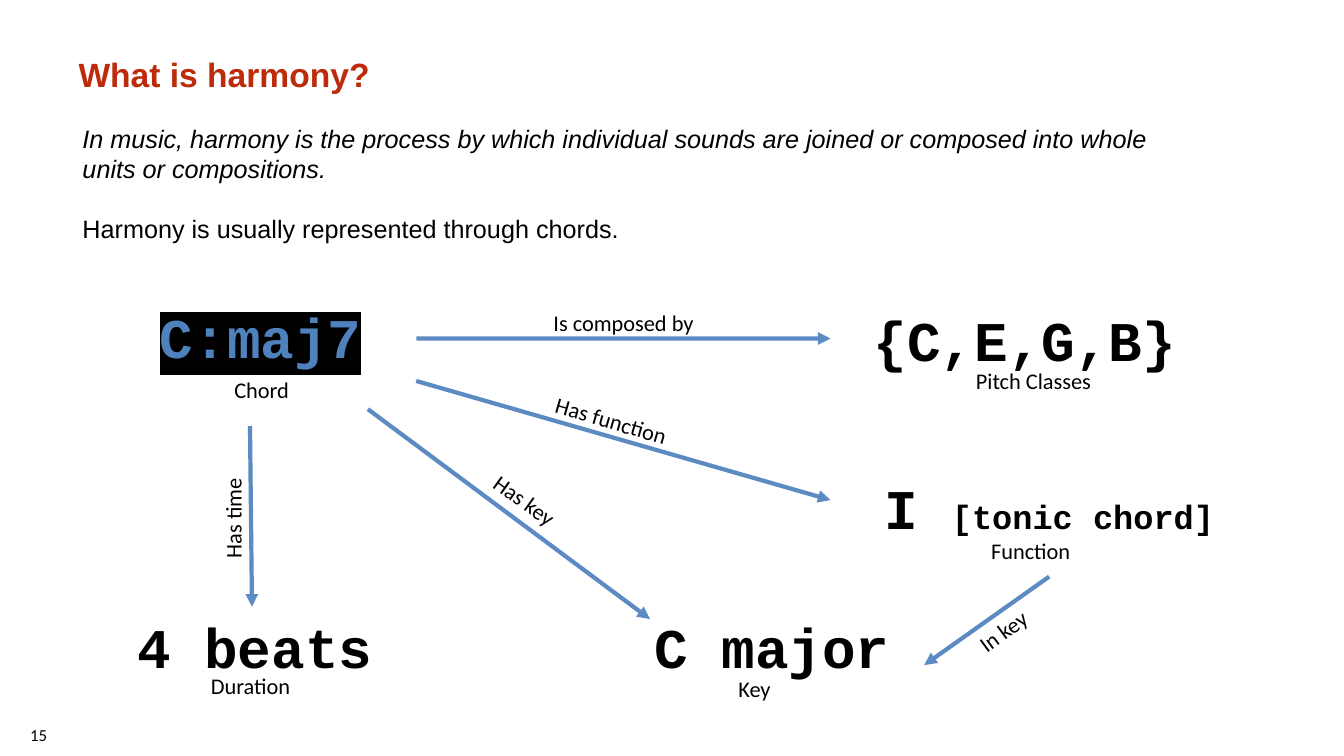
"""Slide explaining harmony through the properties of a chord."""
from lxml.etree import SubElement
from pptx import Presentation
from pptx.dml.color import RGBColor
from pptx.enum.shapes import MSO_CONNECTOR as Connector
from pptx.enum.text import MSO_ANCHOR as Anchor, PP_ALIGN as Align
from pptx.oxml import parse_xml
from pptx.oxml.ns import nsdecls, qn
from pptx.util import Cm, Pt

BLACK = RGBColor(0x00, 0x00, 0x00)
RED = RGBColor(0xBD, 0x2B, 0x0B)
CHORD_BLUE = RGBColor(0x4F, 0x81, 0xBD)
ARROW_BLUE = RGBColor(0x4B, 0x7E, 0xBC)

LABEL_WIDTH, SHORT_LABEL_WIDTH = 4.55, 2.95
TERM_WIDTH, TERM_HEIGHT = 9.45, 1.5

CAPTIONS = [
    ("Chord", 4.32, 9.3),
    ("Pitch Classes", 23.77, 9.09),
    ("Duration", 4.04, 16.76),
    ("Function", 23.7, 13.36),
    ("Key", 16.74, 16.84),
]
RELATIONS = [
    ("Is composed by", 13.44, 7.62, LABEL_WIDTH, 0, (10.49, 8.53, 20.93, 8.53)),
    ("Has function", 13.13, 10.08, LABEL_WIDTH, 16.2, (10.49, 9.6, 20.93, 12.6)),
    ("Has time", 4.39, 12.55, SHORT_LABEL_WIDTH, 270, (6.3, 10.74, 6.35, 15.29)),
    ("In key", 23.8, 15.39, SHORT_LABEL_WIDTH, 323.8, (26.44, 14.53, 23.29, 16.76)),
    ("Has key", 10.95, 12.09, LABEL_WIDTH, 35.6, (9.27, 10.31, 16.38, 15.6)),
]


def add_text_frame(slide, left, top, width, height, anchor=Anchor.MIDDLE, rotation=0):
    """Add a wrapping text box and return its frame."""
    box = slide.shapes.add_textbox(Cm(left), Cm(top), Cm(width), Cm(height))
    box.rotation = rotation
    frame = box.text_frame
    frame.word_wrap = True
    frame.vertical_anchor = anchor
    return frame


def style(paragraph, name, size, color=BLACK, bold=False, italic=False, align=Align.LEFT):
    """Set the alignment and font of a paragraph."""
    paragraph.alignment = align
    font = paragraph.font
    font.name, font.size, font.bold, font.italic = name, Pt(size), bold, italic
    font.color.rgb = color


def add_title(slide, text):
    """Add the slide title."""
    title = add_text_frame(slide, 1.73, 1.47, 31.19, 1.8, Anchor.TOP).paragraphs[0]
    title.text = text
    title.line_spacing = Pt(22)
    style(title, "Arial", 24, RED, bold=True)


def add_definition(slide, definition, remark):
    """Add the italic definition and the remark below it."""
    frame = add_text_frame(slide, 1.83, 2.62, 28.5, 3.99)
    frame.text = definition
    style(frame.paragraphs[0], "Arial", 18, italic=True)
    second = frame.add_paragraph()
    second.text = remark
    second.space_before = Pt(21)
    style(second, "Arial", 18)


def add_label(slide, text, left, top, width=LABEL_WIDTH, rotation=0):
    """Add a small centred label."""
    label = add_text_frame(slide, left, top, width, 1.02, rotation=rotation).paragraphs[0]
    label.text = text
    style(label, "Calibri", 16, align=Align.CENTER)


def add_term(slide, text, left, top, width=TERM_WIDTH, align=Align.CENTER):
    """Add a large monospaced term and return its paragraph."""
    term = add_text_frame(slide, left, top, width, TERM_HEIGHT).paragraphs[0]
    term.text = text
    style(term, "Courier New", 40, bold=True, align=align)
    return term


def add_chord(slide, text):
    """Add the chord symbol on a black highlight."""
    chord = add_text_frame(slide, 3.78, 7.49, 5.87, 2.11, Anchor.TOP).paragraphs[0]
    chord.text = text
    style(chord, "Courier New", 40, CHORD_BLUE, bold=True)
    run_properties = chord.runs[0].font._element if hasattr(
        chord.runs[0].font, "_element") else chord.runs[0]._r.get_or_add_rPr()
    highlight = SubElement(run_properties, qn("a:highlight"))
    SubElement(highlight, qn("a:srgbClr"), val=str(BLACK))


def add_arrow(slide, ends):
    """Add a slightly transparent arrow between two points."""
    arrow = slide.shapes.add_connector(Connector.STRAIGHT, *map(Cm, ends))
    arrow.line.width = Pt(3)
    arrow.line.color.rgb = ARROW_BLUE
    line = arrow.line._get_or_add_ln()
    SubElement(line.find(".//" + qn("a:srgbClr")), qn("a:alpha"), val="90000")
    SubElement(line, qn("a:tailEnd"), type="triangle")
    arrow._element.spPr.append(parse_xml(f"<a:effectLst {nsdecls('a')}/>"))


def add_slide_number(slide, number):
    """Add the slide number in the lower left corner."""
    paragraph = add_text_frame(slide, 0.51, 18.14, 2.21, 0.76, Anchor.TOP).paragraphs[0]
    paragraph.text = number
    style(paragraph, "Calibri", 12)


def main():
    """Build and save the slide."""
    deck = Presentation()
    deck.slide_width, deck.slide_height = Cm(33.87), Cm(19.05)
    slide = deck.slides.add_slide(deck.slide_layouts[6])

    add_title(slide, "What is harmony?")
    add_definition(
        slide,
        "In music, harmony is the process by which individual sounds are joined "
        "or composed into whole units or compositions.",
        "Harmony is usually represented through chords.",
    )
    add_chord(slide, "C:maj7")
    add_term(slide, "{C,E,G,B}", 21.77, 7.8, align=Align.LEFT)
    add_term(slide, "4 beats", 2.51, 15.52, width=7.82)
    add_term(slide, "C major", 14.73, 15.52)
    tonic = add_term(slide, "I ", 21.72, 12.04).add_run()
    tonic.text = "[tonic chord]"
    tonic.font.size = Pt(24)

    for caption in CAPTIONS:
        add_label(slide, *caption)
    for text, left, top, width, rotation, ends in RELATIONS:
        add_arrow(slide, ends)
        add_label(slide, text, left, top, width, rotation)
    add_slide_number(slide, "15")
    deck.save("out.pptx")


if __name__ == "__main__":
    main()
